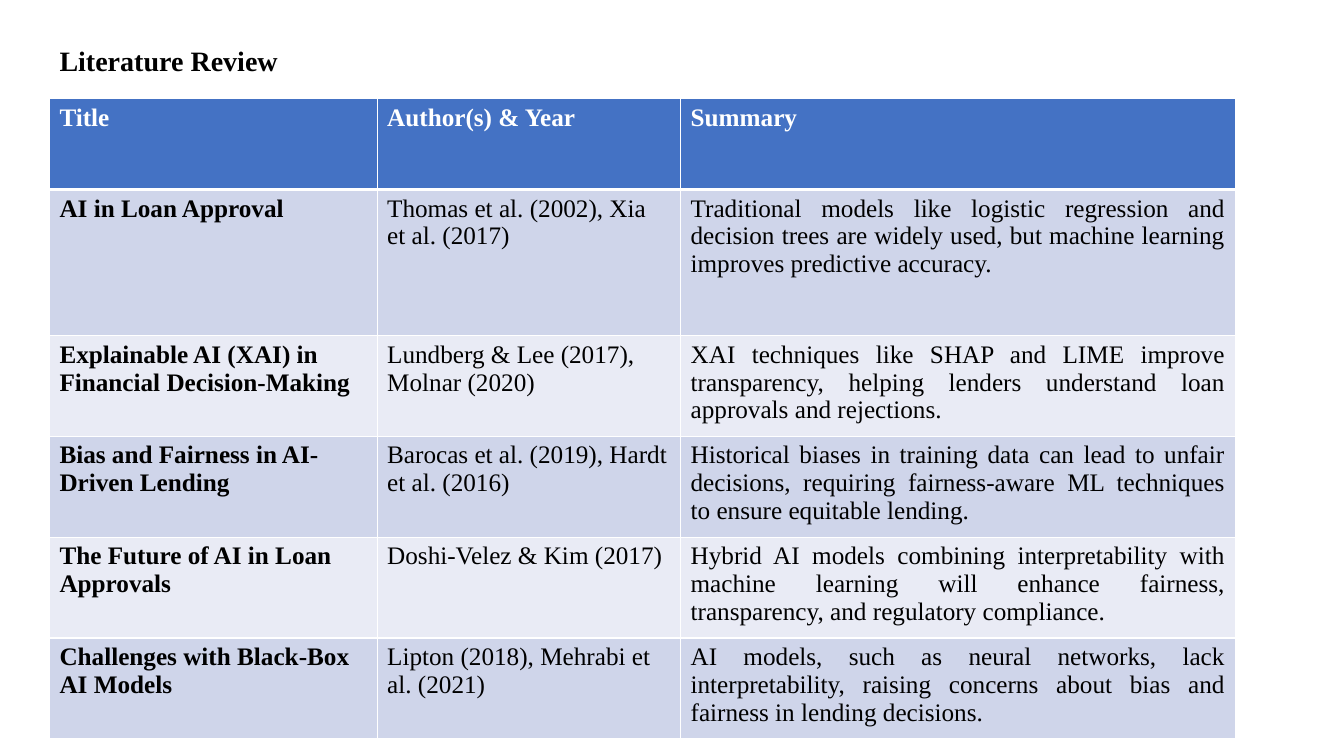
from lxml import etree
from pptx import Presentation
from pptx.dml.color import RGBColor
from pptx.enum.text import MSO_ANCHOR, MSO_AUTO_SIZE, PP_ALIGN
from pptx.oxml.ns import qn
from pptx.util import Inches, Pt

LEFT, JUSTIFY = PP_ALIGN.LEFT, PP_ALIGN.JUSTIFY
TOP = MSO_ANCHOR.TOP
NO_FIT = MSO_AUTO_SIZE.NONE
TITLE_ONLY = 5

# Grid in inches
MARGIN = 0.49
COLUMNS = [3.25, 3.01, 5.5]
ROWS = [0.9, 1.45] + [1.0] * 4

BLACK, WHITE, HEADER = "000000", "FFFFFF", "4472C4"
BANDS = ["CFD5EA", "E9EBF5"]

HEADINGS = ("Title", "Author(s) & Year", "Summary")
STUDIES = [
    ("AI in Loan Approval",
     "Thomas et al. (2002), Xia et al. (2017)",
     "Traditional models like logistic regression and decision trees are "
     "widely used, but machine learning improves predictive accuracy."),
    ("Explainable AI (XAI) in Financial Decision-Making",
     "Lundberg & Lee (2017), Molnar (2020)",
     "XAI techniques like SHAP and LIME improve transparency, helping "
     "lenders understand loan approvals and rejections."),
    ("Bias and Fairness in AI-Driven Lending",
     "Barocas et al. (2019), Hardt et al. (2016)",
     "Historical biases in training data can lead to unfair decisions, "
     "requiring fairness-aware ML techniques to ensure equitable lending."),
    ("The Future of AI in Loan Approvals",
     "Doshi-Velez & Kim (2017)",
     "Hybrid AI models combining interpretability with machine learning "
     "will enhance fairness, transparency, and regulatory compliance."),
    ("Challenges with Black-Box AI Models",
     "Lipton (2018), Mehrabi et al. (2021)",
     "AI models, such as neural networks, lack interpretability, raising "
     "concerns about bias and fairness in lending decisions."),
]


def rgb(value):
    return RGBColor.from_string(value)


def write(tf, text, size, color, bold, align=LEFT):
    p = tf.paragraphs[0]
    p.alignment = align
    r = p.add_run()
    r.text = text
    values = {"name": "Times New Roman", "size": Pt(size), "bold": bold}
    for name, value in values.items():
        setattr(r.font, name, value)
    r.font.color.rgb = rgb(color)


def set_borders(cell, widths):
    """Draw white cell edges; widths maps L, R, T, B to points."""
    tcPr = cell._tc.get_or_add_tcPr()
    for side, width in widths.items():
        ln = etree.SubElement(tcPr, qn(f"a:ln{side}"), w=str(Pt(width)))
        fill = etree.SubElement(ln, qn("a:solidFill"))
        etree.SubElement(fill, qn("a:srgbClr"), val=WHITE)


def add_title(slide, text):
    sp = slide.shapes.title
    box = {"left": MARGIN, "top": 0.38, "width": 9.55, "height": 0.44}
    for name, value in box.items():
        setattr(sp, name, Inches(value))
    tf = sp.text_frame
    for name, value in {"vertical_anchor": TOP, "word_wrap": True,
                        "auto_size": NO_FIT}.items():
        setattr(tf, name, value)
    write(tf, text, 20, BLACK, True)


def add_review_table(slide):
    frame = slide.shapes.add_table(
        len(ROWS), len(COLUMNS), Inches(MARGIN), Inches(0.98),
        Inches(sum(COLUMNS)), Inches(sum(ROWS)))
    table = frame.table
    for column, width in zip(table.columns, COLUMNS):
        column.width = Inches(width)
    for row, height in zip(table.rows, ROWS):
        row.height = Inches(height)

    for i, texts in enumerate([HEADINGS] + STUDIES):
        is_header = i == 0
        fill = HEADER if is_header else BANDS[(i - 1) % 2]
        color = WHITE if is_header else BLACK
        # The thick rule lies between the header and the first study
        edges = {"L": 1, "R": 1, "T": 3 if i == 1 else 1,
                 "B": 3 if is_header else 1}
        for j, text in enumerate(texts):
            cell = table.cell(i, j)
            set_borders(cell, edges)
            cell.fill.solid()
            cell.fill.fore_color.rgb = rgb(fill)
            align = JUSTIFY if j == 2 and not is_header else LEFT
            write(cell.text_frame, text, 18, color,
                  is_header or j == 0, align)


def main():
    prs = Presentation()
    prs.slide_width, prs.slide_height = Inches(13.33), Inches(7.5)
    slide = prs.slides.add_slide(prs.slide_layouts[TITLE_ONLY])
    add_title(slide, "Literature Review")
    add_review_table(slide)
    prs.save("out.pptx")


if __name__ == "__main__":
    main()
